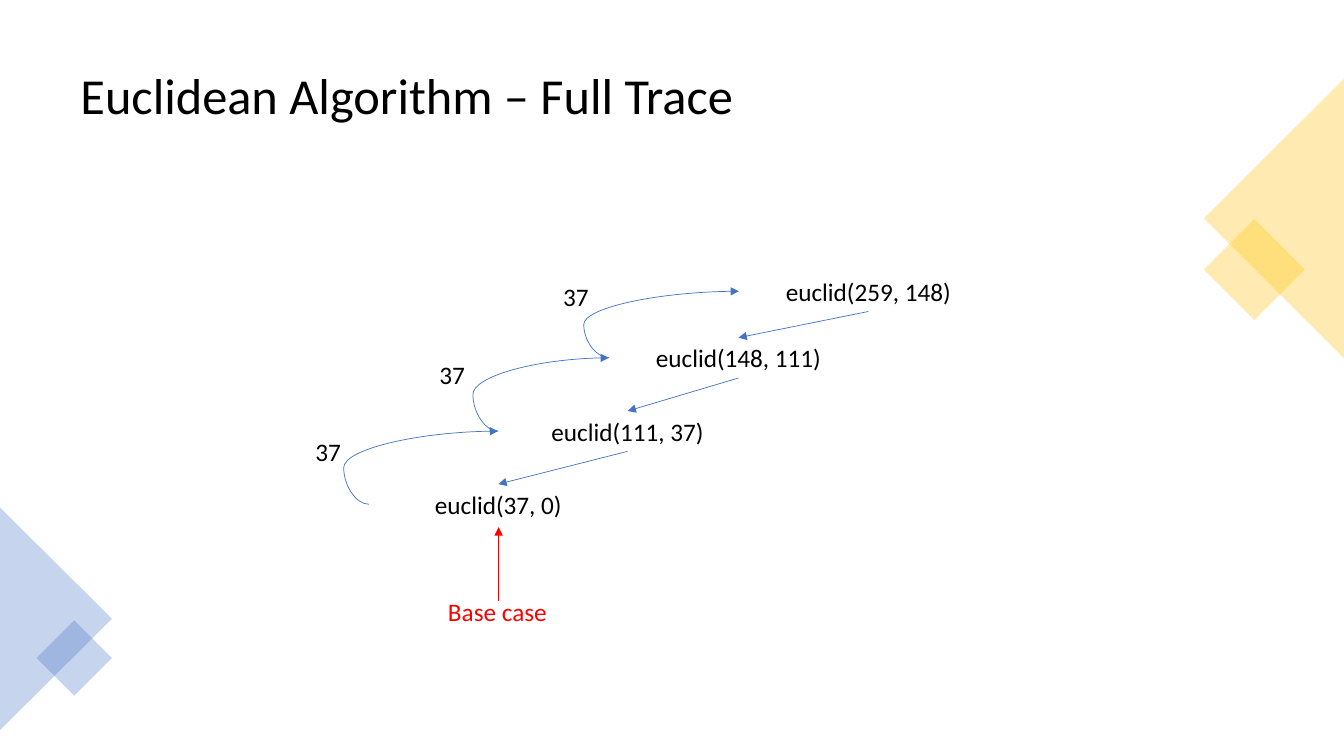
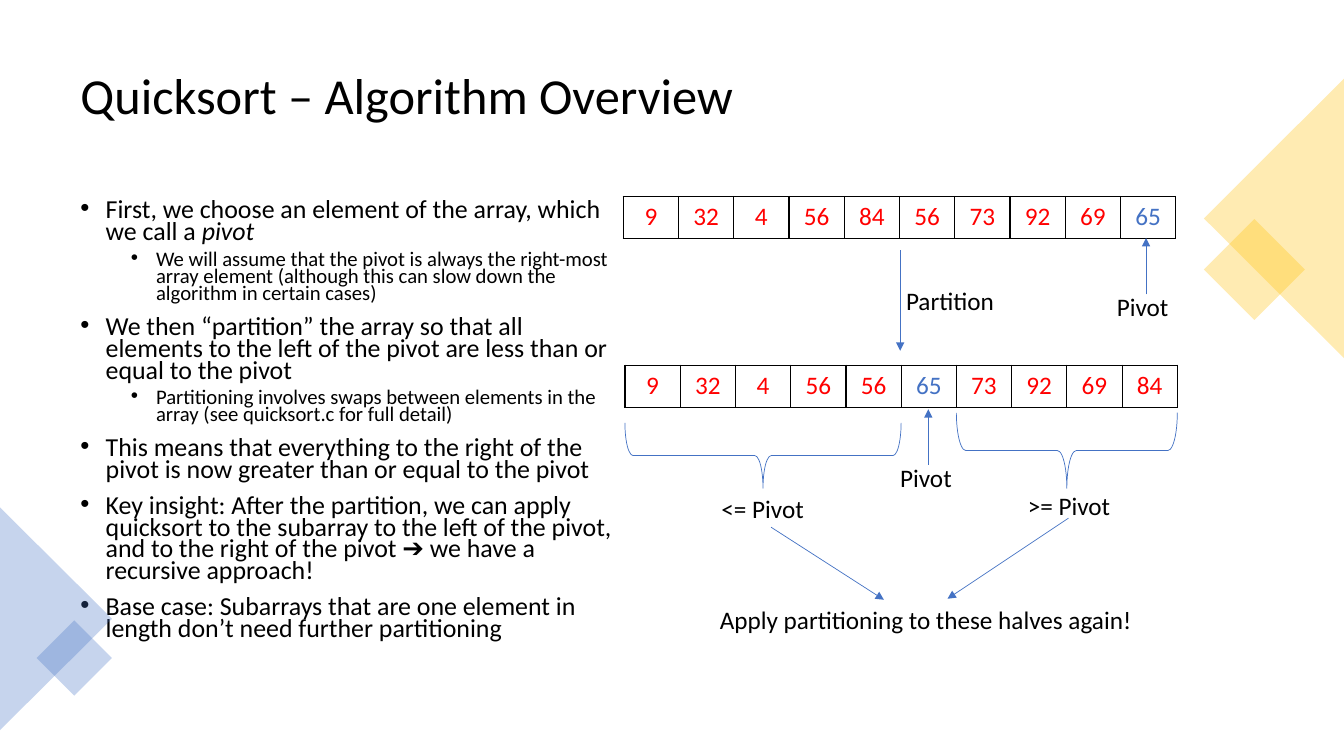
from dataclasses import dataclass
from itertools import pairwise

from lxml.etree import SubElement as Sub
from pptx import Presentation
from pptx.dml.color import RGBColor as RGB
from pptx.enum.shapes import MSO_CONNECTOR as Link, MSO_SHAPE as Kind
from pptx.enum.text import MSO_ANCHOR as Anchor, MSO_AUTO_SIZE as Auto, PP_ALIGN as Align
from pptx.oxml.ns import qn
from pptx.util import Pt

FONT = "Calibri"
BLACK = RGB(0x00, 0x00, 0x00)
RED = RGB(0xFF, 0x00, 0x00)
BLUE = RGB(0x44, 0x72, 0xC4)
GOLD = RGB(0xFF, 0xC0, 0x00)
THIN = 0.5
HIGH = 28.8  # height of a one-line label


@dataclass(frozen=True)
class Decor:
    kind: Kind
    left: float
    top: float
    wide: float
    high: float
    turn: int
    color: RGB


@dataclass(frozen=True)
class Label:
    text: str
    left: float
    top: float
    wide: float
    color: RGB = BLACK
    align: Align | None = Align.CENTER


@dataclass(frozen=True)
class Arrow:
    x1: float
    y1: float
    x2: float
    y2: float
    color: RGB = BLUE


@dataclass(frozen=True)
class Point:
    level: int
    text: str
    slant: str = ""


@dataclass(frozen=True)
class Row:
    left: float
    top: float
    nums: tuple[int, ...]


DECOR = (
    Decor(Kind.RECTANGLE, 870.5, 167, 51, 51, 45, GOLD),
    Decor(Kind.ISOSCELES_TRIANGLE, 810.2, 106, 199.5, 100, 270, GOLD),
    Decor(Kind.ISOSCELES_TRIANGLE, -39.5, 402, 159, 80, 90, BLUE),
    Decor(Kind.RECTANGLE, 34, 451, 38, 38, 45, BLUE),
)


# Text
def put(par, text: str, size: float, color: RGB = BLACK, slant: bool = False) -> None:
    run = par.add_run()
    run.text = text
    font = run.font
    font.name, font.size, font.italic = FONT, Pt(size), slant
    font.color.rgb = color


def frame(slide, left: float, top: float, wide: float, high: float):
    box = slide.shapes.add_textbox(Pt(left), Pt(top), Pt(wide), Pt(high))
    box.text_frame.word_wrap = True
    return box


def label(slide, item: Label):
    box = frame(slide, item.left, item.top, item.wide, HIGH)
    box.text_frame.auto_size = Auto.SHAPE_TO_FIT_TEXT
    par = box.text_frame.paragraphs[0]
    par.alignment = item.align
    put(par, item.text, 18, item.color)
    return box


def bullets(slide, items: tuple[Point, ...]) -> None:
    text = frame(slide, 50.4, 140.4, 394.6, 346.3).text_frame
    for num, item in enumerate(items):
        par = text.add_paragraph() if num else text.paragraphs[0]
        sub = item.level > 0
        par.level = item.level
        par.line_spacing = 0.7
        par.space_before = Pt(5 if sub else 10)
        props = par._p.get_or_add_pPr()
        props.set("marL", str(Pt(54 if sub else 18)))
        props.set("indent", str(Pt(-18)))
        Sub(props, qn("a:buFont"), typeface="Arial")
        Sub(props, qn("a:buChar"), char="•")
        size = 14.8 if sub else 18.5
        put(par, item.text, size)
        if item.slant:
            put(par, item.slant, size, slant=True)


# Lines
def link(slide, item: Arrow, kind: Link = Link.STRAIGHT):
    line = slide.shapes.add_connector(
        kind, Pt(item.x1), Pt(item.y1), Pt(item.x2), Pt(item.y2))
    line.line.color.rgb = item.color
    line.line.width = Pt(THIN)
    props = line.element.spPr
    Sub(props.find(qn("a:ln")), qn("a:tailEnd"), type="triangle")
    Sub(props, qn("a:effectLst"))
    return line


def curve(slide, item: Arrow, bulge: float) -> None:
    line = link(slide, item, Link.CURVE)
    geom = line.element.spPr.find(qn("a:prstGeom"))
    held = geom.find(qn("a:avLst"))
    if held is None:
        held = Sub(geom, qn("a:avLst"))
    ratio = round(-bulge / (item.x2 - item.x1) * 100000)
    Sub(held, qn("a:gd"), name="adj1", fmla=f"val {ratio}")


def brace(slide, left: float, top: float, wide: float, high: float) -> None:
    # The frame is given as seen, so swap its sides before turning
    shape = slide.shapes.add_shape(
        Kind.LEFT_BRACE, Pt(left + (wide - high) / 2), Pt(top + (high - wide) / 2),
        Pt(high), Pt(wide))
    shape.rotation = 270
    shape.adjustments[0] = 0.125
    shape.shadow.inherit = False
    shape.fill.background()
    shape.line.color.rgb = BLUE
    shape.line.width = Pt(THIN)


# Arrays
COL, TALL = 39.46, 30.24
PIVOT = 65


def array(slide, row: Row) -> None:
    count = len(row.nums)
    table = slide.shapes.add_table(
        1, count, Pt(row.left), Pt(row.top), Pt(COL * count), Pt(TALL)).table
    table.first_row = table.horz_banding = False
    for col, num in enumerate(row.nums):
        table.columns[col].width = Pt(COL)
        cell = table.cell(0, col)
        props = cell._tc.get_or_add_tcPr()
        for side in ("lnL", "lnR", "lnT", "lnB"):
            edge = Sub(props, qn(f"a:{side}"), w=str(Pt(1)))
            fill = Sub(edge, qn("a:solidFill"))
            Sub(fill, qn("a:srgbClr"), val=str(BLACK))
        cell.fill.background()
        par = cell.text_frame.paragraphs[0]
        par.alignment = Align.CENTER
        put(par, str(num), 18, BLUE if num == PIVOT else RED)


# Shared look
def title(slide, text: str) -> None:
    box = frame(slide, 50.4, 25.2, 859, 89.3).text_frame
    box.vertical_anchor = Anchor.MIDDLE
    par = box.paragraphs[0]
    par.line_spacing = 0.9
    put(par, text, 36)


def decor(slide) -> None:
    for item in DECOR:
        shape = slide.shapes.add_shape(
            item.kind, Pt(item.left), Pt(item.top), Pt(item.wide), Pt(item.high))
        shape.rotation = item.turn
        shape.shadow.inherit = False
        shape.line.fill.background()
        shape.fill.solid()
        shape.fill.fore_color.rgb = item.color
        tint = shape.element.spPr.find(qn("a:solidFill"))[0]
        Sub(tint, qn("a:alpha"), val="30000")


# Slide 1
CALLS = (
    ("euclid(259, 148)", 527.8, 193.7),
    ("euclid(148, 111)", 435, 241.2),
    ("euclid(111, 37)", 355.8, 293.6),
    ("euclid(37, 0)", 263.5, 345.8),
)
SPAN = 185


def trace(slide) -> None:
    title(slide, "Euclidean Algorithm – Full Trace")
    decor(slide)
    boxes = [label(slide, Label(text, x, y, SPAN)) for text, x, y in CALLS]
    for start, end in pairwise(boxes):
        line = link(slide, Arrow(0, 0, 1, 1))
        line.begin_connect(start, 2)
        line.end_connect(end, 0)
    # Values handed back up the chain
    mid = HIGH / 2
    for step, (low, up) in enumerate(pairwise(reversed(CALLS))):
        curve(slide, Arrow(low[1], low[2] + mid, up[1], up[2] + mid), 18)
        label(slide, Label("37", 218.2 + 88.5 * step, 308.2 - 55.4 * step, 45.4,
                           align=None))
    link(slide, Arrow(356.2, 429, 356.2, 376.6, RED))
    label(slide, Label("Base case", 262.8, 422.6, SPAN, RED))


# Slide 2
POINTS = (
    Point(0, "First, we choose an element of the array, which we call a ", "pivot"),
    Point(1, "We will assume that the pivot is always the right-most array element "
             "(although this can slow down the algorithm in certain cases)"),
    Point(0, "We then “partition” the array so that all elements to the left of the "
             "pivot are less than or equal to the pivot"),
    Point(1, "Partitioning involves swaps between elements in the array "
             "(see quicksort.c for full detail)"),
    Point(0, "This means that everything to the right of the pivot is now greater than "
             "or equal to the pivot"),
    Point(0, "Key insight: After the partition, we can apply quicksort to the subarray "
             "to the left of the pivot, and to the right of the pivot ➔ we have a "
             "recursive approach!"),
    Point(0, "Base case: Subarrays that are one element in length don’t need further "
             "partitioning"),
)
ROWS = (
    Row(445.2, 140.4, (9, 32, 4, 56, 84, 56, 73, 92, 69, PIVOT)),
    Row(446.4, 260.8, (9, 32, 4, 56, 56, PIVOT, 73, 92, 69, 84)),
)
NOTE = 94.3
LABELS = (
    Label("Pivot", 769, 204.5, NOTE),
    Label("Partition", 631.4, 200.2, NOTE),
    Label("Pivot", 614.2, 326.9, NOTE),
    Label("<= Pivot", 497.5, 348.5, NOTE),
    Label(">= Pivot", 716.4, 347, NOTE),
    Label("Apply partitioning to these halves again!", 505.4, 428.4, 311.8),
)
ARROWS = (
    Arrow(818.6, 210.2, 818.6, 170),
    Arrow(643, 178.6, 643, 250.6),
    Arrow(663.1, 332, 663.1, 292.3),
    Arrow(550.8, 376.6, 631.4, 428.4),
    Arrow(763.2, 370.1, 676.8, 427.7),
)


def sort(slide) -> None:
    title(slide, "Quicksort – Algorithm Overview")
    bullets(slide, POINTS)
    decor(slide)
    for row in ROWS:
        array(slide, row)
    for item in LABELS:
        label(slide, item)
    for item in ARROWS:
        link(slide, item)
    # One brace on each side of the pivot cell
    low = ROWS[1]
    cut = low.nums.index(PIVOT)
    brace(slide, low.left, 302, COL * cut, 46.8)
    brace(slide, low.left + COL * (cut + 1), 294.8, COL * (len(low.nums) - cut - 1), 54)


def main() -> None:
    deck = Presentation()
    deck.slide_width, deck.slide_height = Pt(960), Pt(540)
    blank = deck.slide_layouts[6]
    for draw in (trace, sort):
        draw(deck.slides.add_slide(blank))
    deck.save("out.pptx")


if __name__ == "__main__":
    main()
